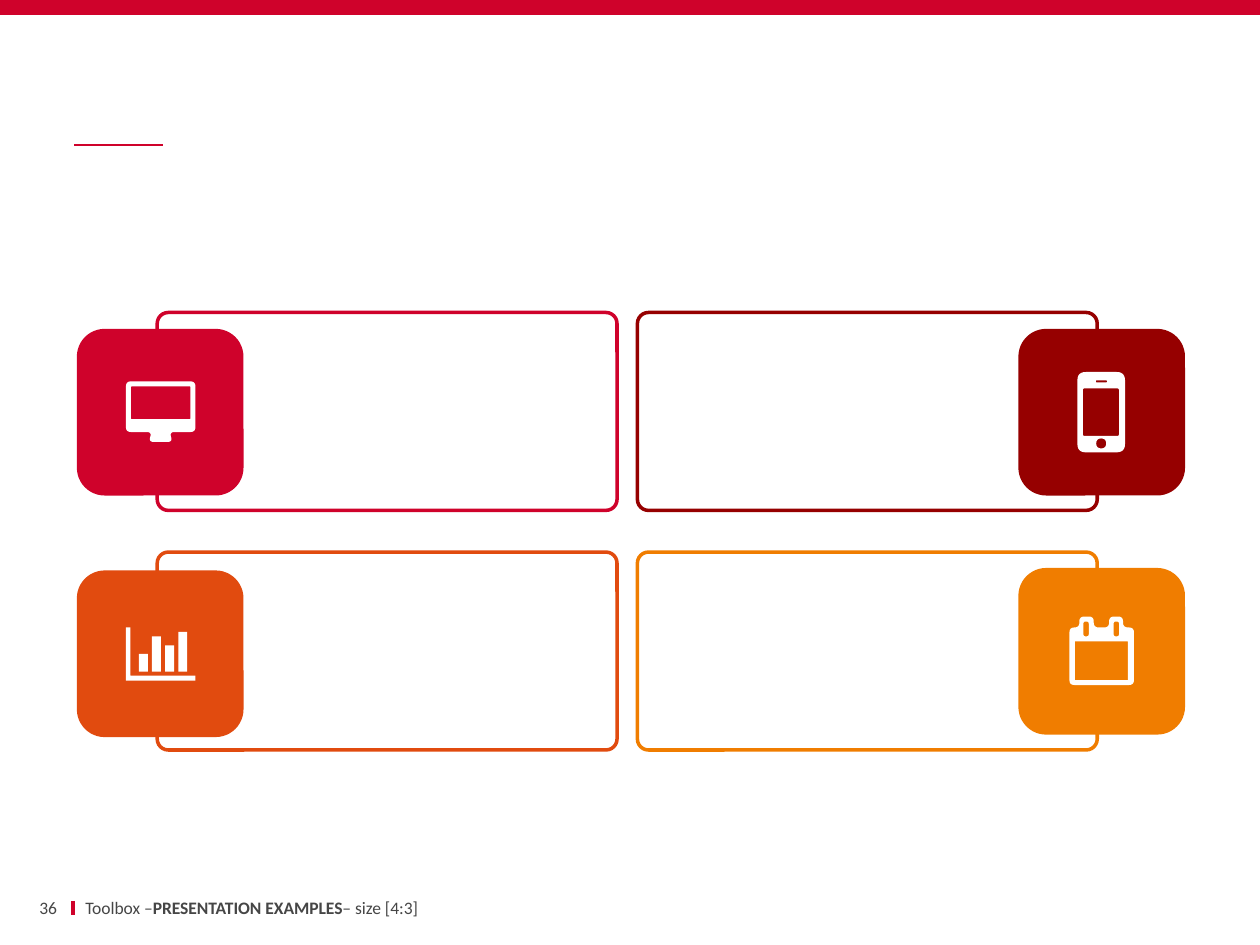
from math import dist

from lxml.etree import SubElement
from pptx import Presentation
from pptx.dml.color import RGBColor
from pptx.enum.shapes import MSO_CONNECTOR, MSO_SHAPE
from pptx.enum.text import MSO_ANCHOR, PP_ALIGN
from pptx.oxml.ns import qn
from pptx.util import Cm, Pt

CRIMSON = RGBColor(0xCF, 0x02, 0x2B)
MAROON = RGBColor(0x96, 0x00, 0x00)
RUST = RGBColor(0xE1, 0x4B, 0x0F)
ORANGE = RGBColor(0xF0, 0x7D, 0x00)
WHITE = RGBColor(0xFF, 0xFF, 0xFF)
GREY = RGBColor(0x46, 0x46, 0x46)


def box(left, top, right, bottom, radius=0):
    return [(left, top), (right, top), (right, bottom), (left, bottom)], radius


# Icons: contours of (corner points, corner radius) in cm; inner ones are holes
MONITOR = [
    ([(0, 0), (1.4, 0), (1.4, 1.02), (0.88, 1.02), (0.94, 1.22),
      (0.46, 1.22), (0.52, 1.02), (0, 1.02)], 0.1),
    box(0.1, 0.1, 1.3, 0.76, 0.02),
]
PHONE = [
    box(0, 0, 0.96, 1.62, 0.17),
    box(0.11, 0.33, 0.84, 1.29, 0.04),
    box(0.37, 0.17, 0.6, 0.21, 0.02),
    box(0.38, 1.34, 0.58, 1.54, 0.1),
]
BAR_TOPS = [0.53, 0.18, 0.36, 0.09]
BAR_CHART = [
    ([(0, 0), (0.09, 0), (0.09, 0.97), (1.4, 0.97), (1.4, 1.07), (0, 1.07)], 0),
] + [box(0.26 + 0.265 * i, top, 0.44 + 0.265 * i, 0.89)
     for i, top in enumerate(BAR_TOPS)]
CALENDAR = [
    ([(0, 0.22), (0.2, 0.22), (0.2, 0), (0.49, 0), (0.49, 0.22), (0.8, 0.22),
      (0.8, 0), (1.08, 0), (1.08, 0.22), (1.3, 0.22), (1.3, 1.38), (0, 1.38)], 0.1),
    box(0.11, 0.5, 1.18, 1.28),
    box(0.28, 0.1, 0.39, 0.4, 0.05),
    box(0.89, 0.1, 1, 0.4, 0.05),
]

# Cards: column, row, colour, tile top, icon, icon position
CARDS = [
    (0, 0, CRIMSON, 6.63, MONITOR, (2.54, 7.69)),
    (1, 0, MAROON, 6.63, PHONE, (21.72, 7.5)),
    (0, 1, RUST, 11.5, BAR_CHART, (2.54, 12.65)),
    (1, 1, ORANGE, 11.45, CALENDAR, (21.56, 12.43)),
]
FRAME_LEFTS, FRAME_TOPS = [3.17, 12.85], [6.3, 11.13]
FRAME_WIDTH, FRAME_HEIGHT = 9.27, 3.99
TILE_LEFTS, TILE_SIZE = [1.55, 20.53], 3.36

PAGE_NUMBER = [("36", False)]
FOOTER = [("Toolbox –", False), ("PRESENTATION EXAMPLES", True),
          ("– size [4:3]", False)]

# Rules: start, end, weight
RULES = [((1.47, 18.16), (1.47, 18.44), 2.25), ((1.5, 2.92), (3.28, 2.92), 1)]

presentation = Presentation()
presentation.slide_width, presentation.slide_height = Cm(25.4), Cm(19.05)
slide = presentation.slides.add_slide(presentation.slide_layouts[6])
shapes = slide.shapes


def paint(shape, fill=None, line=None):
    shape.shadow.inherit = False
    if fill is None:
        shape.fill.background()
    else:
        shape.fill.solid()
        shape.fill.fore_color.rgb = fill
    if line is None:
        shape.line.fill.background()
    else:
        shape.line.color.rgb = line
        shape.line.width = Pt(2)


def add_block(kind, left, top, width, height, **colours):
    block = shapes.add_shape(kind, Cm(left), Cm(top), Cm(width), Cm(height))
    paint(block, **colours)
    return block


def round_corners(points, radius, steps=6):
    """Replace each corner by a short quadratic curve."""
    if not radius:
        return points
    outline = []
    for i, corner in enumerate(points):
        ends = []
        for neighbour in (points[i - 1], points[(i + 1) % len(points)]):
            length = dist(corner, neighbour)
            share = min(radius, length / 2) / length
            ends.append([c + (n - c) * share for c, n in zip(corner, neighbour)])
        for step in range(steps + 1):
            t = step / steps
            outline.append(tuple(
                (1 - t) ** 2 * a + 2 * t * (1 - t) * c + t ** 2 * b
                for a, c, b in zip(ends[0], corner, ends[1])))
    return outline


def add_icon(contours, left, top):
    builder = None
    for points, radius in contours:
        start, *rest = [(Cm(left + x), Cm(top + y))
                        for x, y in round_corners(points, radius)]
        if builder is None:
            builder = shapes.build_freeform(*start)
        else:
            builder.move_to(*start)
        builder.add_line_segments(rest, close=True)
    paint(builder.convert_to_shape(), fill=WHITE)


def add_label(pieces, left, width, inset, alignment):
    label = shapes.add_textbox(Cm(left), Cm(18.06), Cm(width), Cm(0.46))
    frame = label.text_frame
    frame.word_wrap = True
    frame.vertical_anchor = MSO_ANCHOR.MIDDLE
    frame.margin_left = frame.margin_right = Cm(inset)
    paragraph = frame.paragraphs[0]
    paragraph.alignment = alignment
    for words, bold in pieces:
        run = paragraph.add_run()
        run.text = words
        run.font.name, run.font.size, run.font.bold = "Calibri", Pt(10), bold
        run.font.color.rgb = GREY


# Top band and rules
add_block(MSO_SHAPE.RECTANGLE, 0, 0, 25.4, 0.3, fill=CRIMSON)
for start, end, weight in RULES:
    rule = shapes.add_connector(MSO_CONNECTOR.STRAIGHT,
                                *[Cm(v) for v in start + end])
    rule.line.color.rgb = CRIMSON
    rule.line.width = Pt(weight)
    SubElement(rule._element.spPr, qn("a:effectLst"))

# Cards: frame, tile and icon
for column, row, colour, tile_top, icon, icon_position in CARDS:
    card_frame = add_block(MSO_SHAPE.ROUNDED_RECTANGLE, FRAME_LEFTS[column],
                           FRAME_TOPS[row], FRAME_WIDTH, FRAME_HEIGHT, line=colour)
    card_frame.adjustments[0] = 0.056
    add_block(MSO_SHAPE.ROUNDED_RECTANGLE, TILE_LEFTS[column], tile_top,
              TILE_SIZE, TILE_SIZE, fill=colour)
    add_icon(icon, *icon_position)

# Footer
add_label(PAGE_NUMBER, 0.33, 0.82, 0, PP_ALIGN.RIGHT)
add_label(FOOTER, 1.47, 12.62, 0.25, PP_ALIGN.LEFT)

presentation.save("out.pptx")
